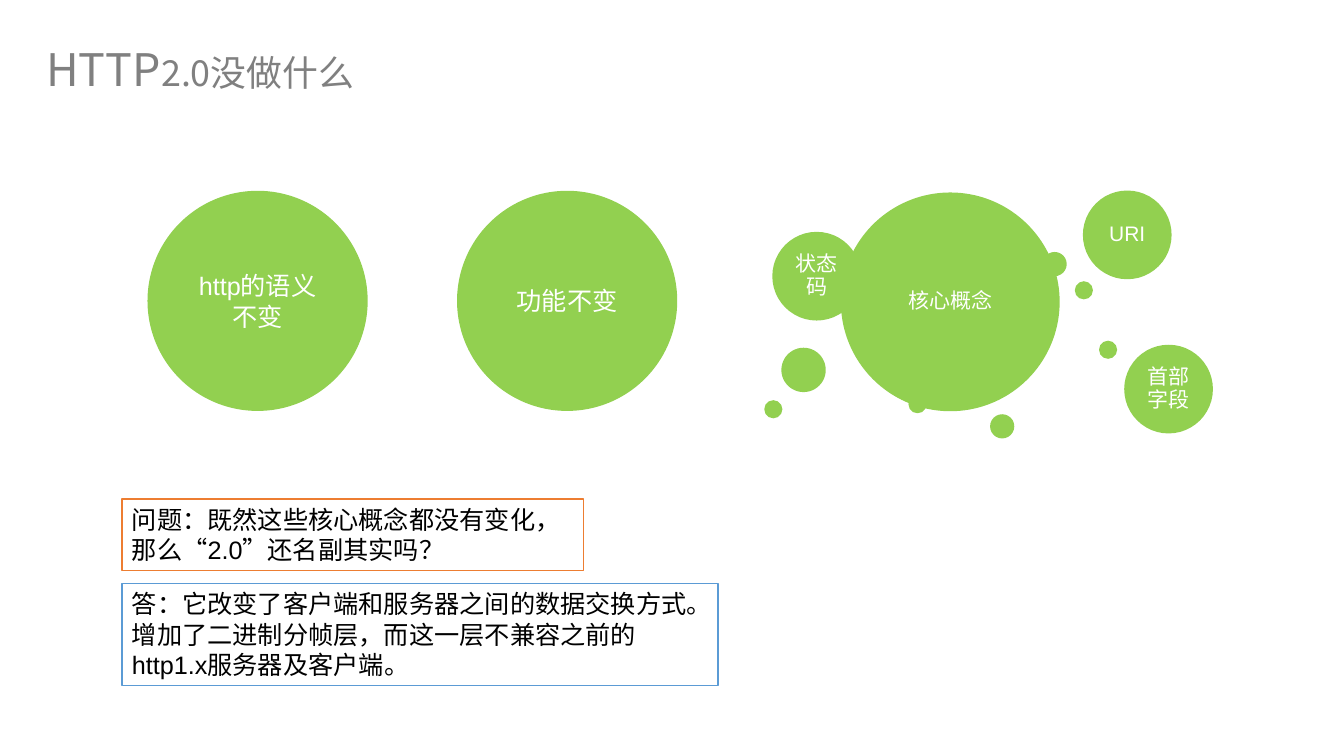
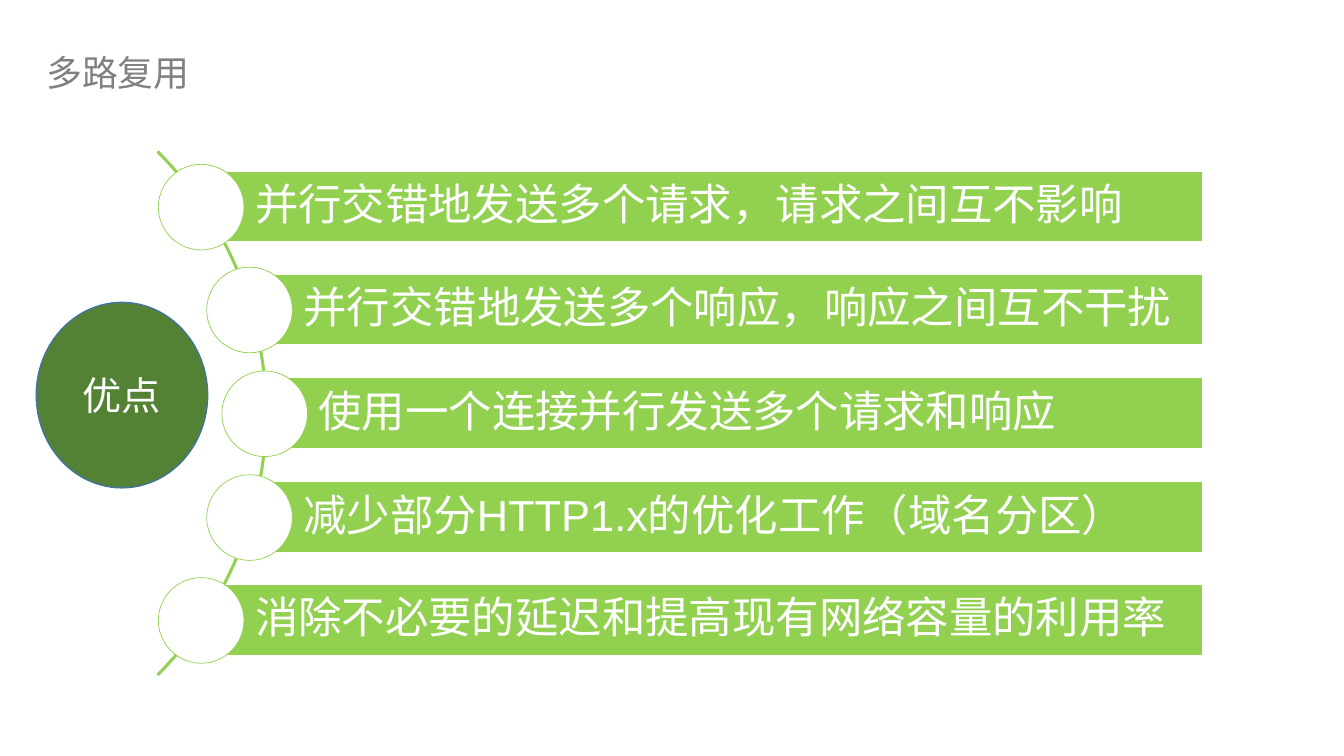
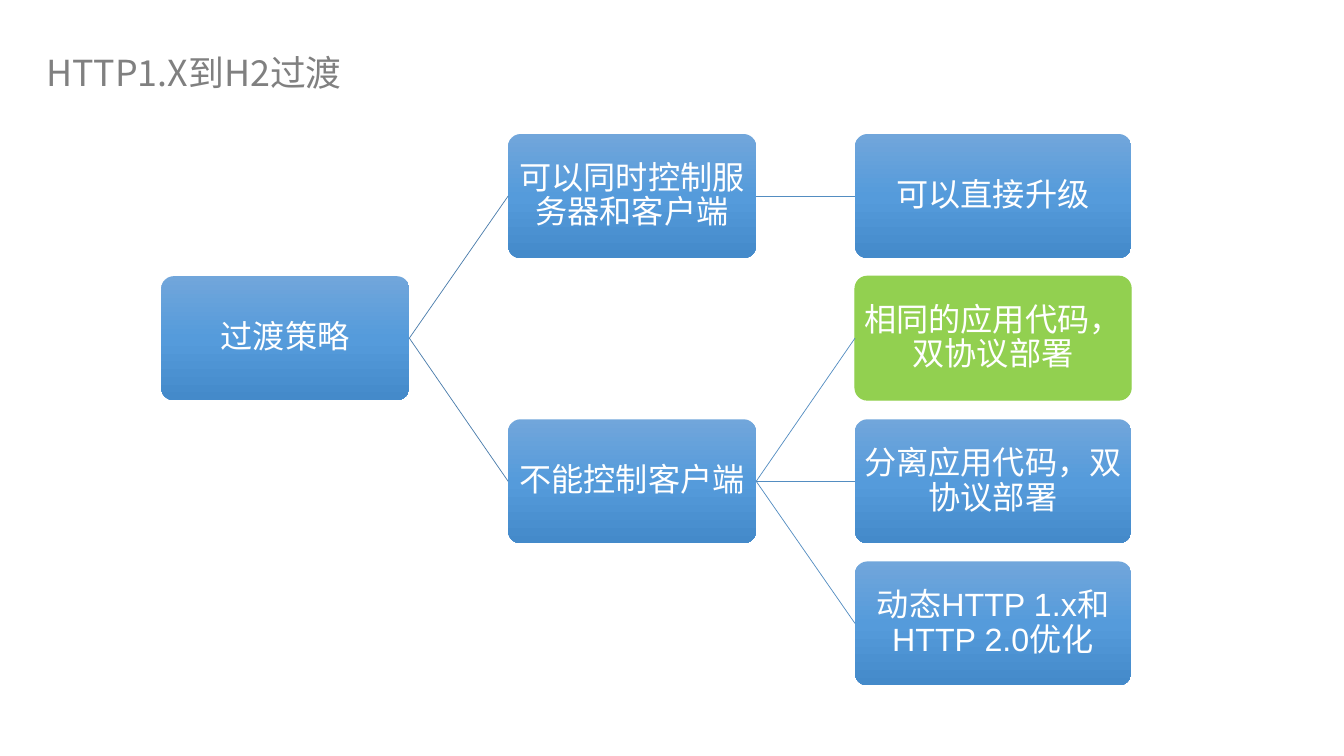
from copy import deepcopy
from math import sqrt

from pptx import Presentation
from pptx import util as u
from pptx.dml.color import RGBColor
from pptx.enum import shapes, text
from pptx.oxml import ns
from pptx.oxml.xmlchemy import OxmlElement

PX = 9144
PAGE_SIZE = (1333, 750)
TITLE_BOX = (36, 40, 1259, 62)
LATIN, HAN = "Arial", "Noto Sans CJK SC"
GREEN = RGBColor(0x92, 0xD0, 0x50)
DARK_GREEN = RGBColor(0x54, 0x82, 0x35)
BLUE = RGBColor(0x5B, 0x9B, 0xD5)
DARK_BLUE = RGBColor(0x43, 0x73, 0x9E)
ORANGE = RGBColor(0xED, 0x7D, 0x31)
GREY = RGBColor(0x80, 0x80, 0x80)
WHITE = RGBColor(0xFF, 0xFF, 0xFF)
BLACK = RGBColor(0x00, 0x00, 0x00)
ROOT_LINK = RGBColor(0x49, 0x7C, 0xAB)
LEAF_LINK = RGBColor(0x53, 0x8D, 0xC1)
NODE_GRADIENT = [
    (0, RGBColor(0x71, 0xA6, 0xDB)),
    (0.5, RGBColor(0x55, 0x9B, 0xDB)),
    (1, RGBColor(0x44, 0x8A, 0xCA)),
]
SHAPE = shapes.MSO_SHAPE
ALIGN = text.PP_ALIGN
ANCHOR = text.MSO_ANCHOR


def emu(lengths):
    return [u.Emu(length * PX) for length in lengths]


def style_spans(para, size, colour, latin=LATIN):
    for span in para.runs:
        span.font.size = u.Pt(size)
        span.font.name = latin
        span.font.color.rgb = colour
        east_asian = OxmlElement("a:ea")
        east_asian.set("typeface", HAN)
        properties = span.font._element
        properties.find(ns.qn("a:latin")).addnext(east_asian)
        properties.set("lang", "zh-CN")


def write(shape, words, size, colour=WHITE, align=ALIGN.CENTER,
          anchor=ANCHOR.MIDDLE, inset=(10, 5, 10, 5), spacing=1.0):
    frame = shape.text_frame
    frame.text = words
    frame.word_wrap = True
    frame.vertical_anchor = anchor
    (frame.margin_left, frame.margin_top,
     frame.margin_right, frame.margin_bottom) = emu(inset)
    para = frame.paragraphs[0]
    para.alignment = align
    para.line_spacing = spacing
    style_spans(para, size, colour)


def draw(page, kind, box, fill=None, line=None, weight=1):
    shape = page.shapes.add_shape(kind, *emu(box))
    shape.shadow.inherit = False
    if fill is not None:
        shape.fill.solid()
        shape.fill.fore_color.rgb = fill
    if line is None:
        shape.line.fill.background()
    else:
        shape.line.color.rgb = line
        shape.line.width = u.Pt(weight)
    return shape


def add_page(deck, words):
    page = deck.slides.add_slide(deck.slide_layouts[5])
    title = page.shapes.title
    title.left, title.top, title.width, title.height = emu(TITLE_BOX)
    frame = title.text_frame
    frame.text = words
    frame.auto_size = text.MSO_AUTO_SIZE.NONE
    frame.vertical_anchor = ANCHOR.MIDDLE
    para = frame.paragraphs[0]
    para.alignment = ALIGN.LEFT
    para.line_spacing = 0.9
    style_spans(para, 32, GREY, HAN)
    for span in para.runs:
        span.font._element.set("cap", "small")
    return page


def add_note(page, box, words, line):
    note = draw(page, SHAPE.RECTANGLE, box, WHITE, line)
    write(note, words, 18, BLACK, ALIGN.LEFT, ANCHOR.TOP)
    note.text_frame.auto_size = text.MSO_AUTO_SIZE.SHAPE_TO_FIT_TEXT


def add_concepts(page, box):
    left, top = box[:2]
    bubbles = [
        (76, 2, 217, "核心概念"), (8, 41, 88, "状态码"),
        (316, 0, 88, "URI"), (357, 153, 88, "首部字段"),
    ]
    dots = [
        (195, 12, 24), (143, 203, 18), (308, 90, 18), (224, 222, 24),
        (148, 27, 18), (93, 127, 18), (176, 27, 24), (17, 156, 44),
        (276, 61, 24), (0, 208, 18), (175, 183, 18), (332, 149, 18),
    ]
    for x, y, size in dots:
        draw(page, SHAPE.OVAL, (left + x, top + y, size, size), GREEN)
    for x, y, size, words in bubbles:
        bubble = draw(page, SHAPE.OVAL, (left + x, top + y, size, size), GREEN)
        write(bubble, words, 15, inset=(6, 6, 6, 6), spacing=0.9)


def add_benefits(page, box, benefits):
    left, top, width, height = box
    arc_centre, arc_radius, track_radius = -103, 368, 365
    bar_height, knob, pitch = 68, 85, 102.6
    middle = top + height // 2
    arc = draw(page, SHAPE.BLOCK_ARC,
               (arc_centre - arc_radius, middle - arc_radius,
                2 * arc_radius, 2 * arc_radius), GREEN, GREEN, 0.5)
    for index, value in enumerate((189, 27, 0.003)):
        arc.adjustments[index] = value
    for row, words in enumerate(benefits):
        offset = round((row - (len(benefits) - 1) / 2) * pitch)
        y = middle + offset
        x = arc_centre + round(sqrt(track_radius ** 2 - offset ** 2))
        bar = draw(page, SHAPE.RECTANGLE,
                   (x, y - bar_height // 2, left + width - x, bar_height),
                   GREEN, GREEN, 0.75)
        write(bar, words, 31, align=ALIGN.LEFT, inset=(54, 9, 9, 9), spacing=0.9)
        draw(page, SHAPE.OVAL, (x - knob // 2, y - knob // 2, knob, knob),
             WHITE, GREEN, 0.5)


def fill_gradient(shape):
    shape.fill.gradient()
    shape.fill.gradient_angle = 270
    stop_list = shape._element.spPr.find(".//" + ns.qn("a:gsLst"))
    stop_list.insert(1, deepcopy(stop_list[0]))
    for stop, (position, colour) in zip(shape.fill.gradient_stops, NODE_GRADIENT):
        stop.position = position
        stop.color.rgb = colour


def add_node(page, box, words, highlight=False):
    if highlight:
        node = draw(page, SHAPE.ROUNDED_RECTANGLE, box, GREEN, GREEN, 0.75)
    else:
        node = draw(page, SHAPE.ROUNDED_RECTANGLE, box)
        fill_gradient(node)
    node.adjustments[0] = 0.1
    write(node, words, 23, inset=(2, 2, 2, 2), spacing=0.9)
    return node


def link(page, parent, child, colour):
    connector = page.shapes.add_connector(shapes.MSO_CONNECTOR.STRAIGHT, 0, 0, 0, 0)
    connector.begin_connect(parent, 3)
    connector.end_connect(child, 1)
    connector.line.color.rgb = colour
    connector.line.width = u.Pt(0.5)
    connector._element.spPr.append(OxmlElement("a:effectLst"))


def add_strategy_tree(page, box, root_words, branches):
    left, top, width, height = box
    node_width, leaf_width, node_height, gap = 246, 274, 123, 98
    leaf_count = sum(len(leaves) for _, leaves in branches)
    pitch = (height - node_height) / (leaf_count - 1)
    branch_left = left + node_width + gap
    leaf_left = branch_left + node_width + gap

    def node_at(x, row, node_size, words, highlight=False):
        y = top + round(row * pitch)
        return add_node(page, (x, y, node_size, node_height), words, highlight)

    root = node_at(left, 1, node_width, root_words)
    first_row = 0
    for words, leaves in branches:
        branch = node_at(branch_left, first_row + (len(leaves) - 1) / 2,
                         node_width, words)
        link(page, root, branch, ROOT_LINK)
        for row, (leaf_words, highlight) in enumerate(leaves, first_row):
            leaf = node_at(leaf_left, row, leaf_width, leaf_words, highlight)
            link(page, branch, leaf, LEAF_LINK)
        first_row += len(leaves)


def build_unchanged(deck):
    page = add_page(deck, "HTTP2.0没做什么")
    add_note(page, (121, 495, 458, 71),
             "问题：既然这些核心概念都没有变化，那么“2.0”还名副其实吗？", ORANGE)
    add_note(page, (121, 579, 591, 101),
             "答：它改变了客户端和服务器之间的数据交换方式。"
             "增加了二进制分帧层，而这一层不兼容之前的http1.x服务器及客户端。", BLUE)
    for left, words in ((147, "http的语义不变"), (454, "功能不变")):
        circle = draw(page, SHAPE.OVAL, (left, 190, 217, 217), GREEN, GREEN)
        write(circle, words, 18)
    add_concepts(page, (758, 189, 445, 246))


def build_multiplexing(deck):
    page = add_page(deck, "多路复用")
    add_benefits(page, (156, 150, 1036, 520), [
        "并行交错地发送多个请求，请求之间互不影响",
        "并行交错地发送多个响应，响应之间互不干扰",
        "使用一个连接并行发送多个请求和响应",
        "减少部分HTTP1.x的优化工作（域名分区）",
        "消除不必要的延迟和提高现有网络容量的利用率",
    ])
    badge = draw(page, SHAPE.OVAL, (36, 300, 170, 184), DARK_GREEN, DARK_BLUE)
    write(badge, "优点", 28)


def build_transition(deck):
    page = add_page(deck, "http1.x到h2过渡")
    add_strategy_tree(page, (160, 133, 962, 547), "过渡策略", [
        ("可以同时控制服务器和客户端", [("可以直接升级", False)]),
        ("不能控制客户端", [
            ("相同的应用代码，双协议部署", True),
            ("分离应用代码，双协议部署", False),
            ("动态HTTP 1.x和HTTP 2.0优化", False),
        ]),
    ])


def main():
    deck = Presentation()
    deck.slide_width, deck.slide_height = emu(PAGE_SIZE)
    build_unchanged(deck)
    build_multiplexing(deck)
    build_transition(deck)
    deck.save("out.pptx")


if __name__ == "__main__":
    main()
